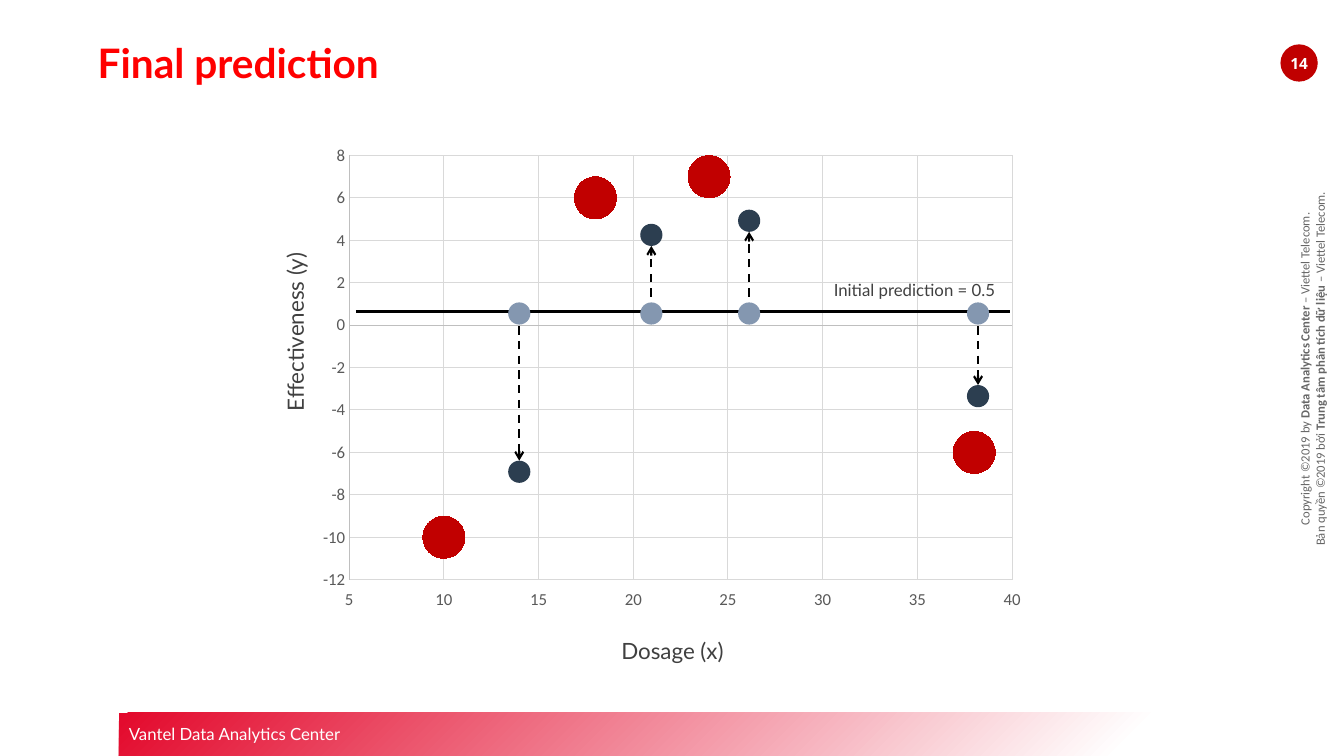
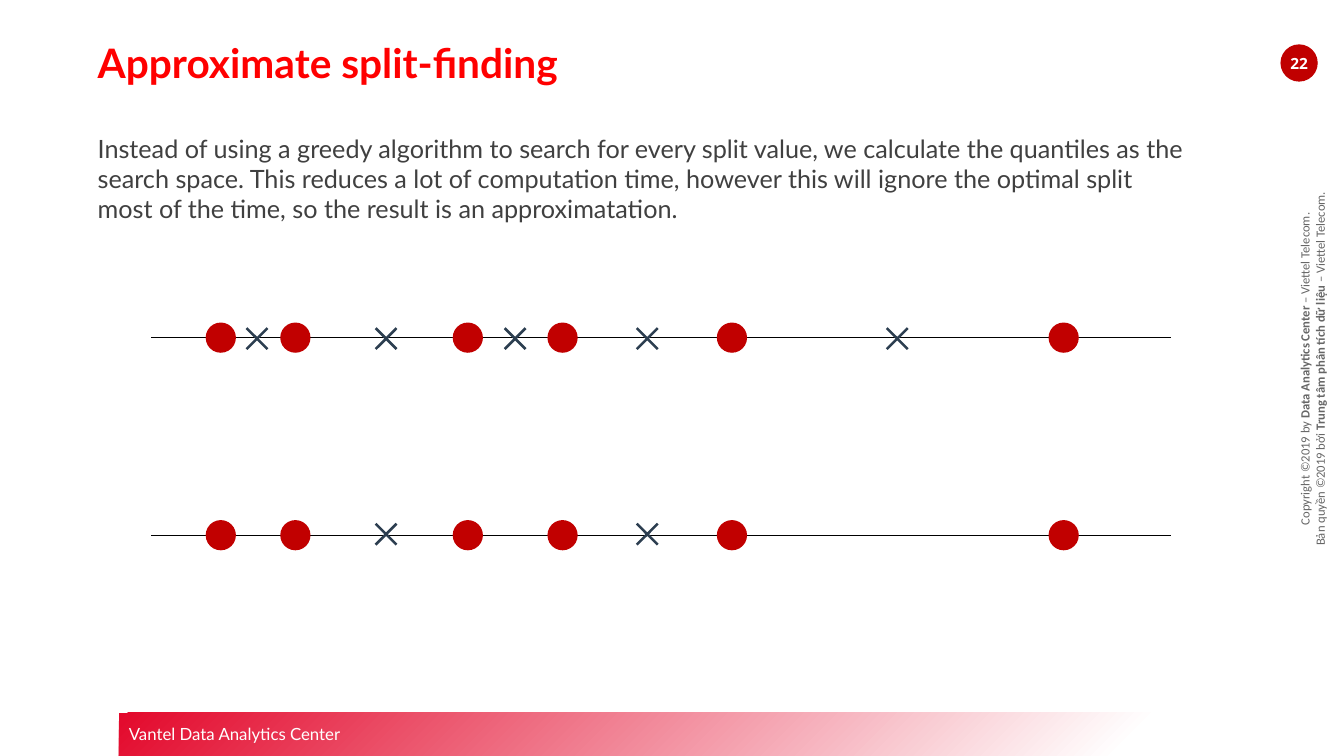
from pptx import Presentation
from pptx.chart.data import XyChartData
from pptx.dml.color import RGBColor
from pptx.enum.chart import XL_CHART_TYPE, XL_MARKER_STYLE, XL_TICK_LABEL_POSITION, XL_TICK_MARK
from pptx.enum.dml import MSO_LINE
from pptx.enum.shapes import MSO_CONNECTOR, MSO_SHAPE
from pptx.enum.text import MSO_ANCHOR, PP_ALIGN
from pptx.oxml import parse_xml
from pptx.oxml.ns import nsdecls, qn
from pptx.util import Inches, Pt

RED, BADGE, TITLE = "C10000", "C00000", "FF0000"
NAVY, STEEL, INK, BLACK, WHITE = "2C3E50", "8497B0", "404040", "000000", "FFFFFF"
GREY, AXIS, GRID, NOTE = "595959", "BFBFBF", "D9D9D9", "666666"

FADE = f"""<a:gradFill {nsdecls('a')} rotWithShape="1"><a:gsLst>
<a:gs pos="0"><a:srgbClr val="FFFFFF"/></a:gs>
<a:gs pos="18000"><a:srgbClr val="FFFFFF"/></a:gs>
<a:gs pos="100000"><a:srgbClr val="E3092C"/></a:gs></a:gsLst>
<a:path path="circle"><a:fillToRect l="100000" t="100000"/></a:path></a:gradFill>"""

LAYOUT = f"""<c:layout {nsdecls('c')}><c:manualLayout><c:layoutTarget val="inner"/>
<c:xMode val="edge"/><c:yMode val="edge"/><c:x val="0.056"/><c:y val="0.04"/>
<c:w val="0.912"/><c:h val="0.877"/></c:manualLayout></c:layout>"""

RIGHTS = [
    "Copyright ©2019 by |Data Analytics Center| – Viettel Telecom.",
    "Bản quyền ©2019 bởi |Trung tâm phân tích dữ liệu |– Viettel Telecom.",
]


def hue(code):
    return RGBColor.from_string(code)


def write(shape, *lines, size=12, font="Lato", color=INK, bold=False,
          align=PP_ALIGN.LEFT, space=None, anchor=MSO_ANCHOR.TOP):
    frame = shape.text_frame
    frame.word_wrap = True
    frame.vertical_anchor = anchor
    for row, line in enumerate(lines):
        para = frame.add_paragraph() if row else frame.paragraphs[0]
        para.alignment = align
        if space:
            para.line_spacing = space
        for turn, part in enumerate(line.split("|")):
            run = para.add_run()
            run.text = part
            run.font.size = Pt(size)
            run.font.name = font
            run.font.bold = bold or turn % 2 == 1
            run.font.color.rgb = hue(color)


class Deck:
    """Holds the shared style and the current slide."""

    def __init__(self):
        self.show = Presentation()
        self.show.slide_width = Inches(13.33)
        self.show.slide_height = Inches(7.5)
        self.slide = None

    def start(self, title, number):
        self.slide = self.show.slides.add_slide(self.show.slide_layouts[6])
        band = self.shape(MSO_SHAPE.RECTANGLE, 1.18, 7.07, 12.15, 0.43, WHITE)
        props = band.element.spPr
        props.replace(props.find(qn("a:solidFill")), parse_xml(FADE))
        write(band, "Vantel Data Analytics Center", color=WHITE, anchor=MSO_ANCHOR.MIDDLE)
        self.text(10.71, 3.46, 4.61, 0.4, *RIGHTS, turn=270, size=9,
                  font="Calibri", color=NOTE, align=PP_ALIGN.CENTER)
        badge = self.shape(MSO_SHAPE.OVAL, 12.7, 0.44, 0.37, 0.37, BADGE)
        frame = badge.text_frame
        frame.margin_left = frame.margin_right = frame.margin_top = frame.margin_bottom = 0
        write(badge, str(number), size=11, font="Open Sans", color=WHITE, bold=True,
              align=PP_ALIGN.CENTER, anchor=MSO_ANCHOR.MIDDLE)
        self.text(0.87, 0.35, 10.47, 0.56, title, size=29, color=TITLE,
                  bold=True, space=Pt(33))

    def shape(self, kind, left, top, width, height, fill):
        item = self.slide.shapes.add_shape(
            kind, Inches(left), Inches(top), Inches(width), Inches(height))
        item.shadow.inherit = False
        item.fill.solid()
        item.fill.fore_color.rgb = hue(fill)
        item.line.fill.background()
        return item

    def text(self, left, top, width, height, *lines, turn=0, **style):
        box = self.slide.shapes.add_textbox(
            Inches(left), Inches(top), Inches(width), Inches(height))
        box.rotation = turn
        write(box, *lines, **style)

    def dot(self, x, y, size, fill):
        self.shape(MSO_SHAPE.OVAL, x - size / 2, y - size / 2, size, size, fill)

    def cross(self, x, y, size=0.4):
        mark = self.shape(MSO_SHAPE.MATH_MULTIPLY, x - size / 2, y - size / 2, size, size, NAVY)
        mark.adjustments[0] = 0.063

    def line(self, x1, y1, x2, y2, width, arrow=False):
        item = self.slide.shapes.add_connector(
            MSO_CONNECTOR.STRAIGHT, Inches(x1), Inches(y1), Inches(x2), Inches(y2))
        item.line.width = Pt(width)
        item.line.color.rgb = hue(BLACK)
        props = item.element.spPr
        if arrow:
            item.line.dash_style = MSO_LINE.DASH
            props.find(qn("a:ln")).append(
                parse_xml(f'<a:tailEnd {nsdecls("a")} type="arrow"/>'))
        props.append(parse_xml(f'<a:effectLst {nsdecls("a")}/>'))

    def scatter(self, left, top, width, height, points):
        data = XyChartData()
        series = data.add_series("Series 1")
        for x, y in points:
            series.add_data_point(x, y)
        chart = self.slide.shapes.add_chart(
            XL_CHART_TYPE.XY_SCATTER, Inches(left), Inches(top),
            Inches(width), Inches(height), data).chart
        chart.has_legend = chart.has_title = False
        chart.font.name = "Calibri"
        chart.font.size = Pt(10)
        chart.font.color.rgb = hue(BLACK)
        area = chart.plots[0]
        area.vary_by_categories = False
        plot = area.series[0]
        plot.smooth = False
        plot.format.line.fill.background()
        plot.marker.style = XL_MARKER_STYLE.CIRCLE
        plot.marker.size = 30
        plot.marker.format.fill.solid()
        plot.marker.format.fill.fore_color.rgb = hue(RED)
        plot.marker.format.line.color.rgb = hue(RED)
        self.scale(chart.category_axis, 5, 40, 5)
        self.scale(chart.value_axis, -12, 8, 2)
        chart.category_axis.tick_label_position = XL_TICK_LABEL_POSITION.LOW
        frame = chart.element.chart.plotArea if hasattr(chart, "element") else chart._chartSpace.chart.plotArea
        for old in frame.findall(qn("c:layout")):
            frame.remove(old)
        frame.insert(0, parse_xml(LAYOUT))

    def scale(self, axis, low, high, step):
        axis.minimum_scale, axis.maximum_scale, axis.major_unit = low, high, step
        axis.major_tick_mark = axis.minor_tick_mark = XL_TICK_MARK.NONE
        axis.has_title = False
        axis.has_major_gridlines = True
        font = axis.tick_labels.font
        font.name, font.size = "Calibri", Pt(12)
        font.color.rgb = hue(GREY)
        for line, color in ((axis.format.line, AXIS), (axis.major_gridlines.format.line, GRID)):
            line.width = Pt(0.75)
            line.color.rgb = hue(color)


def final(deck):
    deck.start("Final prediction", 14)
    deck.scatter(3.06, 1.35, 7.21, 4.8, [(10, -10), (18, 6), (24, 7), (38, -6)])
    label = dict(size=16, align=PP_ALIGN.CENTER, space=1.5)
    deck.text(3.53, 6.14, 6.28, 0.45, "Dosage (x)", **label)
    deck.text(1.18, 3.07, 3.31, 0.45, "Effectiveness (y)", turn=270, **label)
    base, size = 3.09, 0.22
    deck.line(3.53, base, 10.02, base, 2.25)
    deck.text(7.02, 2.63, 2.95, 0.37, "Initial prediction = 0.5",
              align=PP_ALIGN.RIGHT, space=1.5)
    for x, y in [(5.15, 4.68), (6.46, 2.33), (7.43, 2.19), (9.7, 3.93)]:
        edge = y - size / 2 if y > base else y + size / 2
        deck.dot(x, y, size, NAVY)
        deck.line(x, base, x, edge, 1.5, arrow=True)
        deck.dot(x, base + 0.02, size, STEEL)


def split(deck):
    deck.start("Approximate split-finding", 22)
    deck.text(0.87, 1.27, 11.02, 1.01,
              "Instead of using a greedy algorithm to search for every split value, "
              "we calculate the quantiles as the search space. This reduces a lot of "
              "computation time, however this will ignore the optimal split most of "
              "the time, so the result is an approximatation.", size=18)
    dots = [2.19, 2.93, 4.64, 5.58, 7.26, 10.55]
    every = [2.55, 3.83, 5.11, 6.42, 8.9]
    for y, shift, marks in [(3.35, 0.01, every), (5.31, -0.01, every[1::2])]:
        deck.line(1.5, y, 11.61, y, 1)
        for x in dots:
            deck.dot(x, y, 0.3, RED)
        for x in marks:
            deck.cross(x, y + shift)


def main():
    deck = Deck()
    final(deck)
    split(deck)
    deck.show.save("out.pptx")


if __name__ == "__main__":
    main()
